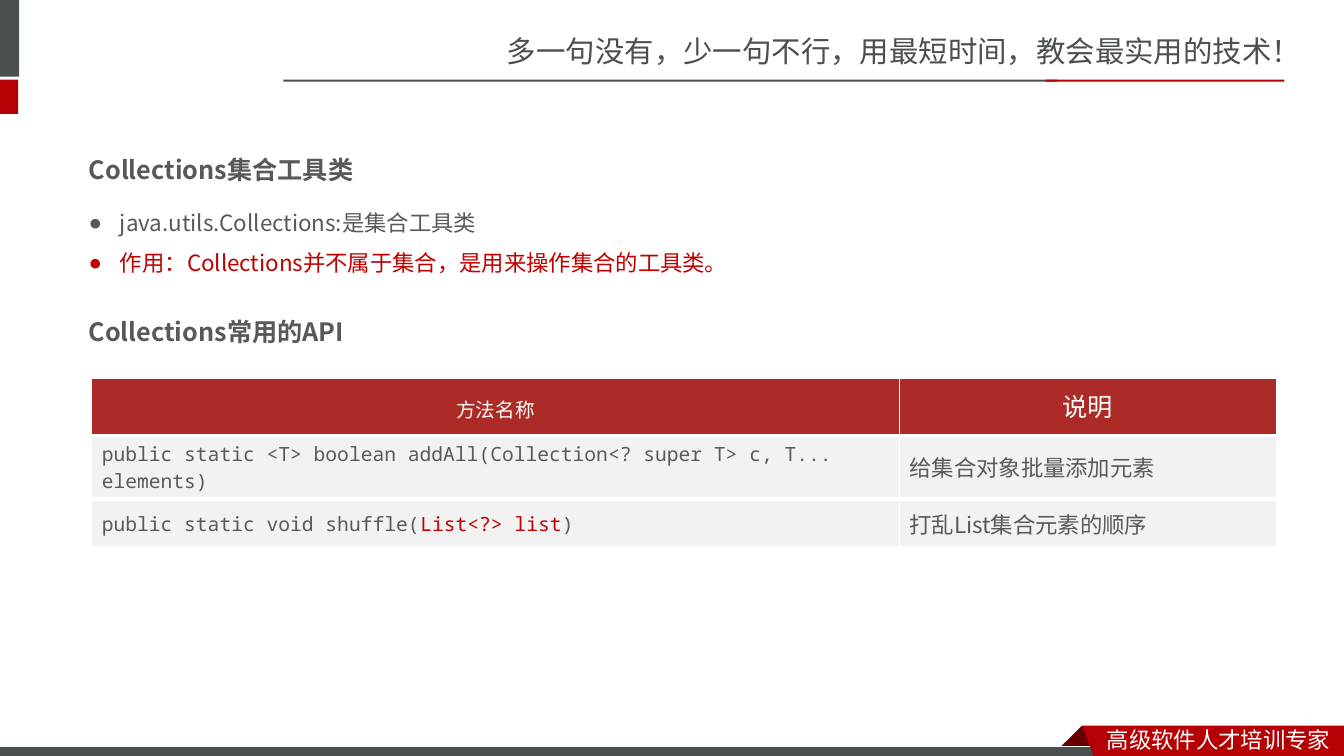
from dataclasses import dataclass

from lxml import etree
from pptx import Presentation
from pptx.dml.color import RGBColor
from pptx.enum.shapes import MSO_SHAPE as Preset
from pptx.enum.text import MSO_ANCHOR as Anchor, MSO_AUTO_SIZE as Fit, PP_ALIGN as Align
from pptx.oxml.ns import qn
from pptx.util import Inches, Pt

DARK = RGBColor(0x49, 0x50, 0x4F)
RED = RGBColor(0xB6, 0x00, 0x04)
FOLD = RGBColor(0x68, 0x00, 0x00)
WHITE = RGBColor(0xFF, 0xFF, 0xFF)
GREY = RGBColor(0x59, 0x59, 0x59)
ALERT = RGBColor(0xC0, 0x00, 0x00)
HEAD = RGBColor(0xAD, 0x2B, 0x26)
PALE = RGBColor(0xF2, 0xF2, 0xF2)
SC, JP, MONO = "Noto Sans CJK SC", "Noto Sans CJK JP", "Noto Sans Mono"


@dataclass
class Span:
    text: str
    size: int
    font: str = SC
    color: RGBColor = GREY
    bold: bool = False


@dataclass
class Bar:
    left: float
    top: float
    width: float
    height: float
    color: RGBColor
    edge: bool = False


@dataclass
class Label:
    left: float
    top: float
    width: float
    height: float
    span: Span


BARS = [
    Bar(-0.06, 0, 0.25, 0.76, DARK),
    Bar(-0.06, 0.79, 0.24, 0.34, RED),
    Bar(2.81, 0.79, 7.68, 0.02, DARK),
    Bar(10.37, 0.79, 2.37, 0.02, RED),
]
BASE = Bar(-0.01, 7.41, 11, 0.12, DARK, True)
FLAP = [(10.73, 7.2), (10.95, 7.42), (10.94, 7.43), (10.52, 7.43), (10.51, 7.42)]
RIBBON = [(10.73, 7.2), (13.33, 7.2), (13.33, 7.54), (10.86, 7.53)]

SLOGAN = Label(4.93, 0.28, 8.41, 0.47,
               Span("多一句没有，少一句不行，用最短时间，教会最实用的技术！", 21, color=DARK))
MOTTO = Label(10.88, 7.15, 2.45, 0.37, Span("高级软件人才培训专家", 16, color=WHITE))
TITLE = Label(0.78, 1.48, 6.67, 0.4, Span("Collections集合工具类", 18, JP, bold=True))
USAGE = Label(0.78, 3.09, 7.17, 0.4, Span("Collections常用的API", 18, JP, bold=True))
POINTS = [
    Span("java.utils.Collections:是集合工具类", 16, JP),
    Span("作用：Collections并不属于集合，是用来操作集合的工具类。", 16, JP, ALERT),
]

WIDTHS = [8.01, 3.74]
HEIGHTS = [0.57, 0.49, 0.49]
ROWS = [
    [[Span("方法名称", 14, MONO, WHITE)], [Span("说明", 18, "Arial", WHITE)]],
    [[Span("public static <T> boolean addAll(Collection<? super T> c, T... elements)", 14, MONO)],
     [Span("给集合对象批量添加元素", 16)]],
    [[Span("public static void shuffle(", 14, MONO), Span("List<?> list", 14, MONO, ALERT),
      Span(")", 14, MONO)],
     [Span("打乱List集合元素的顺序", 16)]],
]


def place(shape, left: float, top: float, width: float, height: float) -> None:
    shape.left, shape.top = Inches(left), Inches(top)
    shape.width, shape.height = Inches(width), Inches(height)


def write(para, span: Span) -> None:
    """Add one run, with its font set for Latin and East Asian text alike."""
    run = para.add_run()
    run.text = span.text
    font = run.font
    font.name, font.size, font.bold = span.font, Pt(span.size), span.bold
    font.color.rgb = span.color
    asian = etree.Element(qn("a:ea"), typeface=span.font if "CJK" in span.font else SC)
    font._element.find(qn("a:latin")).addnext(asian)


def paint(shape, color: RGBColor, edge: bool = False) -> None:
    shape.shadow.inherit = False
    shape.fill.solid()
    shape.fill.fore_color.rgb = color
    if edge:
        shape.line.color.rgb = WHITE
        shape.line.width = Pt(0.75)
    else:
        shape.line.fill.background()


def draw_bar(slide, bar: Bar) -> None:
    shape = slide.shapes.add_shape(Preset.RECTANGLE, 0, 0, 0, 0)
    place(shape, bar.left, bar.top, bar.width, bar.height)
    paint(shape, bar.color, bar.edge)


def draw_outline(slide, points: list[tuple[float, float]], color: RGBColor) -> None:
    first, *rest = [(Inches(x), Inches(y)) for x, y in points]
    pen = slide.shapes.build_freeform(*first)
    pen.add_line_segments(rest, close=True)
    paint(pen.convert_to_shape(), color)


def set_frame(shape):
    frame = shape.text_frame
    frame.word_wrap = True
    frame.auto_size = Fit.NONE
    frame.vertical_anchor = Anchor.TOP
    return frame


def fill_label(shape, label: Label) -> None:
    place(shape, label.left, label.top, label.width, label.height)
    para = set_frame(shape).paragraphs[0]
    para.alignment = Align.LEFT
    write(para, label.span)


def draw_label(slide, label: Label) -> None:
    fill_label(slide.shapes.add_textbox(0, 0, 0, 0), label)


def fill_list(shape, spans: list[Span]) -> None:
    place(shape, 0.78, 1.89, 6.67, 0.86)
    frame = set_frame(shape)
    for i, span in enumerate(spans):
        para = frame.add_paragraph() if i else frame.paragraphs[0]
        para.line_spacing = 1.5
        para.space_before = Pt(0)
        props = para._p.get_or_add_pPr()
        props.set("marL", str(Inches(0.31)))
        props.set("indent", str(-Inches(0.31)))
        etree.SubElement(props, qn("a:buFont"), typeface="Arial")
        etree.SubElement(props, qn("a:buChar"), char="●")
        write(para, span)


def set_edges(cell, top: float) -> None:
    """Give a cell white borders; its fill must be set afterwards."""
    props = cell._tc.get_or_add_tcPr()
    for tag, width in {"lnL": 1, "lnR": 1, "lnT": top, "lnB": 3}.items():
        line = etree.SubElement(props, qn(f"a:{tag}"), w=str(Pt(width)))
        solid = etree.SubElement(line, qn("a:solidFill"))
        etree.SubElement(solid, qn("a:srgbClr"), val=str(WHITE))


def draw_table(slide) -> None:
    frame = slide.shapes.add_table(len(ROWS), len(WIDTHS), Inches(0.91), Inches(3.75),
                                   Inches(sum(WIDTHS)), Inches(sum(HEIGHTS)))
    table = frame.table
    table.horz_banding = False
    for col, width in zip(table.columns, WIDTHS):
        col.width = Inches(width)
    for i, (row, height) in enumerate(zip(table.rows, HEIGHTS)):
        row.height = Inches(height)
        for cell, spans in zip(row.cells, ROWS[i]):
            cell.vertical_anchor = Anchor.MIDDLE
            set_edges(cell, 3 if i else 1)
            cell.fill.solid()
            cell.fill.fore_color.rgb = PALE if i else HEAD
            para = cell.text_frame.paragraphs[0]
            if i == 0:
                para.alignment = Align.CENTER
                para.line_spacing = Pt(24)
            for span in spans:
                write(para, span)


def main() -> None:
    deck = Presentation()
    deck.slide_width, deck.slide_height = Inches(13.33), Inches(7.5)
    slide = deck.slides.add_slide(deck.slide_layouts[1])
    draw_label(slide, SLOGAN)
    for bar in BARS:
        draw_bar(slide, bar)
    draw_outline(slide, FLAP, FOLD)
    draw_bar(slide, BASE)
    draw_outline(slide, RIBBON, RED)
    draw_label(slide, MOTTO)
    fill_label(slide.shapes.title, TITLE)
    fill_list(slide.placeholders[1], POINTS)
    draw_label(slide, USAGE)
    draw_table(slide)
    deck.save("out.pptx")


if __name__ == "__main__":
    main()
